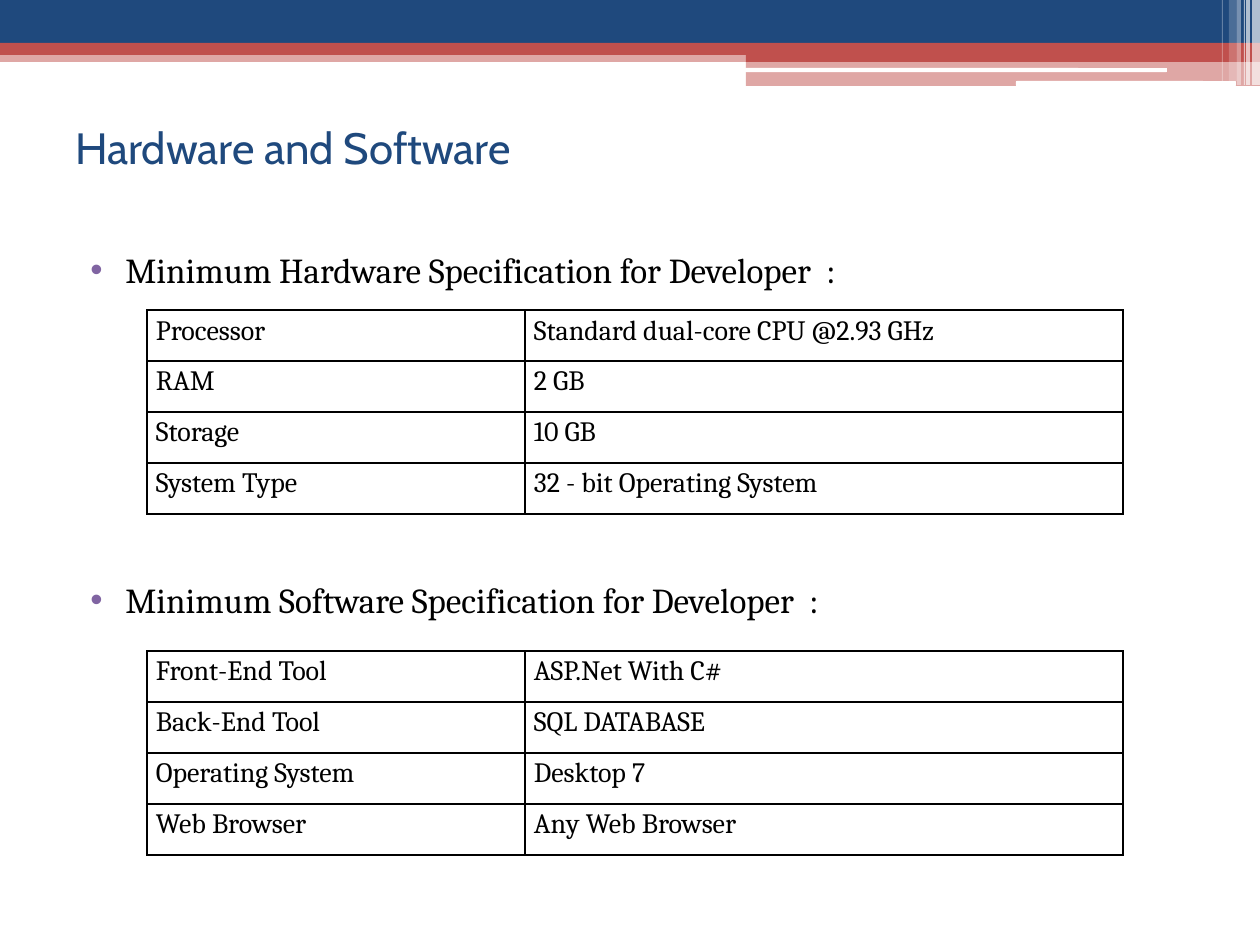
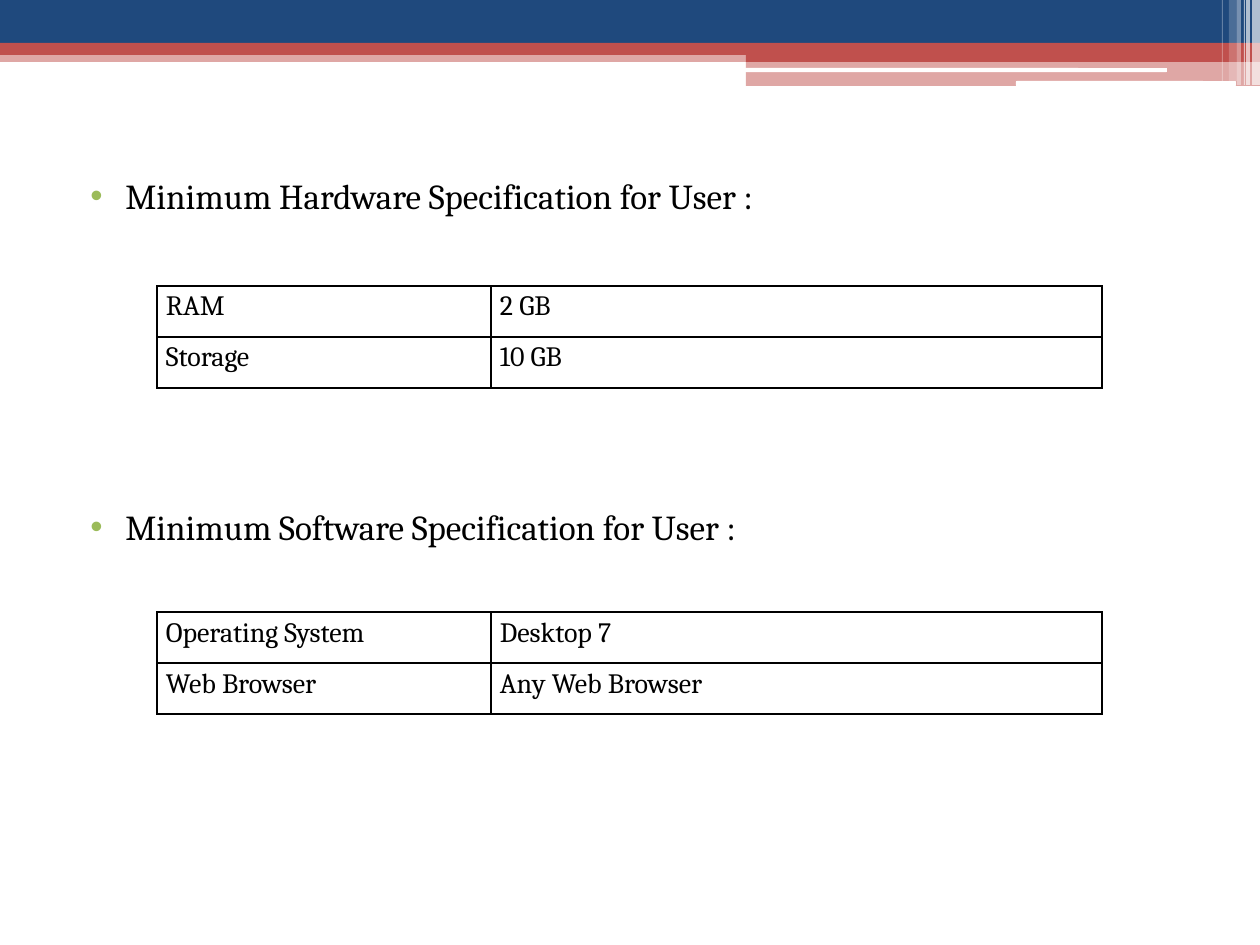
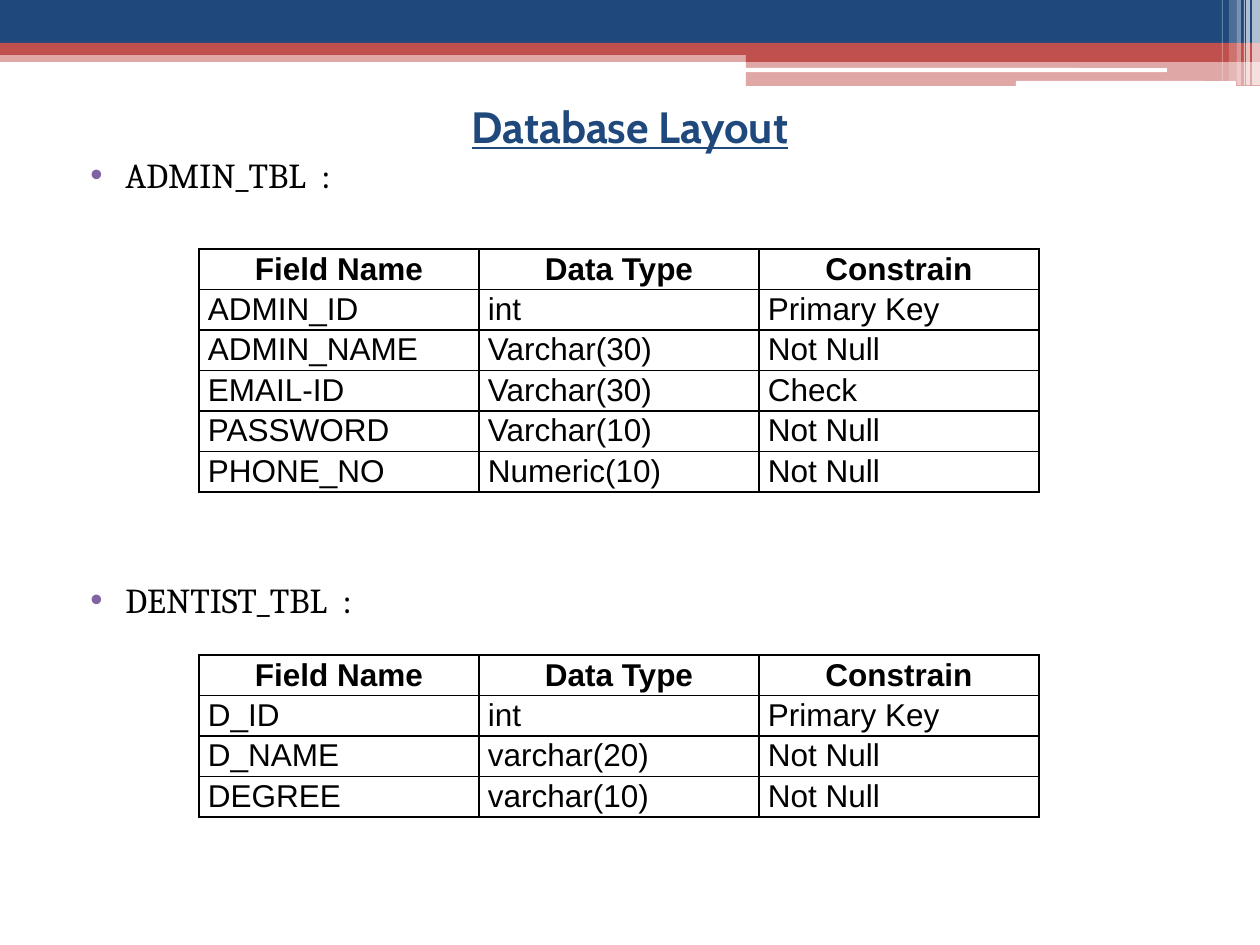
"""Build three slides of system requirements and database tables."""
import pptx
import pptx.dml.color
import pptx.enum.shapes
import pptx.enum.text
import pptx.oxml.ns
import pptx.util
from lxml import etree

PX = 914400 / 126
NAVY, RED, WHITE, BLACK = "1F497D", "C0504D", "FFFFFF", "000000"
PURPLE, GREEN = "8064A2", "9BBB59"
HEADING_FONT, BODY_FONT, DATA_FONT = "Cabin", "Cambria", "Arial"
LEFT, WIDTH, BOTTOM = 63, 1134, 906
BODY_PITCH, BODY_SPACE = 27, 3

ALIGN = pptx.enum.text.PP_ALIGN
ANCHOR = pptx.enum.text.MSO_ANCHOR
SHAPE = pptx.enum.shapes.MSO_SHAPE
RECT, ROUND = SHAPE.RECTANGLE, SHAPE.ROUNDED_RECTANGLE

BANDS = [
    (RECT, 0, 50, 1260, 12, RED, 50),
    (RECT, 0, 0, 1260, 43, NAVY, 100),
    (RECT, 0, 43, 1260, 12, RED, 100),
    (RECT, 746, 49, 514, 13, RED, 100),
    (RECT, 746, 62, 514, 24, RED, 50),
    (ROUND, 745, 68, 422, 4, WHITE, 100),
    (ROUND, 1016, 81, 220, 5, WHITE, 100),
    (RECT, 1252, 0, 8, 85, WHITE, 65),
    (RECT, 1246, 0, 4, 85, WHITE, 65),
    (RECT, 1244, 0, 1, 85, WHITE, 60),
    (RECT, 1237, 0, 4, 85, WHITE, 40),
    (RECT, 1229, 0, 8, 81, WHITE, 20),
    (RECT, 1222, 0, 1, 81, WHITE, 30),
]

SPEC_STYLE = {"font": BODY_FONT, "size": 16, "row": 51, "spacing": 1.15, "header": False}
FIELD_STYLE = {"font": DATA_FONT, "size": 18, "row": 40, "spacing": 1.07, "header": True}
FIELD_HEADER = ("Field Name", "Data Type", "Constrain")

SLIDES = [
    {
        "title": {"text": "Hardware and Software", "top": 73, "height": 147, "centred": False},
        "body_top": 242, "bullet": PURPLE, "lines_between": 6,
        "headings": ["Minimum Hardware Specification for Developer  :",
                     "Minimum Software Specification for Developer  :"],
        "style": SPEC_STYLE, "align": ALIGN.JUSTIFY,
        "left": 147, "columns": (378, 598),
        "tables": [
            (310, [("Processor", "Standard dual-core CPU @2.93 GHz"),
                   ("RAM", "2 GB"),
                   ("Storage", "10 GB"),
                   ("System Type", "32 - bit Operating System")]),
            (651, [("Front-End Tool", "ASP.Net With C#"),
                   ("Back-End Tool", "SQL DATABASE"),
                   ("Operating System", "Desktop 7"),
                   ("Web Browser", "Any Web Browser")]),
        ],
    },
    {
        "title": None,
        "body_top": 168, "bullet": GREEN, "lines_between": 6,
        "headings": ["Minimum Hardware Specification for User :",
                     "Minimum Software Specification for User :"],
        "style": SPEC_STYLE, "align": ALIGN.LEFT,
        "left": 157, "columns": (334, 611),
        "tables": [
            (286, [("RAM", "2 GB"), ("Storage", "10 GB")]),
            (612, [("Operating System", "Desktop 7"), ("Web Browser", "Any Web Browser")]),
        ],
    },
    {
        "title": {"text": "Database Layout", "top": 63, "height": 126, "centred": True},
        "body_top": 147, "bullet": PURPLE, "lines_between": 8,
        "headings": ["ADMIN_TBL  :", "DENTIST_TBL  :"],
        "style": FIELD_STYLE, "align": ALIGN.JUSTIFY,
        "left": 199, "columns": (280, 280, 280),
        "tables": [
            (249, [FIELD_HEADER,
                   ("ADMIN_ID", "int", "Primary Key"),
                   ("ADMIN_NAME", "Varchar(30)", "Not Null"),
                   ("EMAIL-ID", "Varchar(30)", "Check"),
                   ("PASSWORD", "Varchar(10)", "Not Null"),
                   ("PHONE_NO", "Numeric(10)", "Not Null")]),
            (655, [FIELD_HEADER,
                   ("D_ID", "int", "Primary Key"),
                   ("D_NAME", "varchar(20)", "Not Null"),
                   ("DEGREE", "varchar(10)", "Not Null")]),
        ],
    },
]


def px(*lengths):
    return [pptx.util.Emu(round(n * PX)) for n in lengths]


def rgb(value):
    return pptx.dml.color.RGBColor.from_string(value)


def add_xml(parent, tag, **attributes):
    return etree.SubElement(parent, pptx.oxml.ns.qn(tag), attributes)


def format_runs(p, font, size, color, bold=False, underline=False):
    for r in p.runs:
        r.font.name = font
        r.font.size = pptx.util.Pt(size)
        r.font.color.rgb = rgb(color)
        r.font.bold = bold
        r.font.underline = underline


def add_band(s, kind, left, top, width, height, color, opacity):
    sp = s.shapes.add_shape(kind, *px(left, top, width, height))
    sp.shadow.inherit = False
    sp.fill.solid()
    sp.fill.fore_color.rgb = rgb(color)
    sp.line.fill.background()
    if opacity < 100:
        fill = sp.fill._xPr.find(pptx.oxml.ns.qn("a:solidFill"))
        add_xml(fill[0], "a:alpha", val=str(opacity * 1000))


def add_text_box(s, top, height):
    tf = s.shapes.add_textbox(*px(LEFT, top, WIDTH, height)).text_frame
    tf.word_wrap = True
    return tf


def add_title(s, text, top, height, centred):
    tf = add_text_box(s, top, height)
    tf.vertical_anchor = ANCHOR.MIDDLE
    p = tf.paragraphs[0]
    p.text = text
    p.alignment = ALIGN.CENTER if centred else ALIGN.LEFT
    format_runs(p, HEADING_FONT, 25, NAVY, bold=centred, underline=centred)


def add_headings(s, top, headings, bullet, lines_between):
    tf = add_text_box(s, top, BOTTOM - top)
    indent, hanging = px(50, -35)
    for i, heading in enumerate(headings):
        p = tf.paragraphs[0] if i == 0 else tf.add_paragraph()
        p.text = heading
        if i:
            p.space_before = pptx.util.Pt(lines_between * BODY_PITCH + BODY_SPACE)
        pPr = p._p.get_or_add_pPr()
        pPr.set("marL", str(indent))
        pPr.set("indent", str(hanging))
        add_xml(add_xml(pPr, "a:buClr"), "a:srgbClr", val=bullet)
        add_xml(pPr, "a:buFont", typeface=DATA_FONT)
        add_xml(pPr, "a:buChar", char="•")
        format_runs(p, BODY_FONT, 20, BLACK)


def add_borders(cell):
    tcPr = cell._tc.get_or_add_tcPr()
    for i, side in enumerate(("a:lnL", "a:lnR", "a:lnT", "a:lnB")):
        ln = etree.Element(pptx.oxml.ns.qn(side), w=str(pptx.util.Pt(1)))
        add_xml(add_xml(ln, "a:solidFill"), "a:srgbClr", val=BLACK)
        tcPr.insert(i, ln)


def add_grid(s, left, top, columns, rows, style, align):
    frame = s.shapes.add_table(len(rows), len(columns),
                               *px(left, top, sum(columns), style["row"] * len(rows)))
    table = frame.table
    table.first_row = style["header"]
    table.horz_banding = False
    for column, width in zip(table.columns, px(*columns)):
        column.width = width
    for i, row in enumerate(rows):
        header = style["header"] and i == 0
        for j, text in enumerate(row):
            cell = table.cell(i, j)
            cell.margin_left, cell.margin_right, cell.margin_top, cell.margin_bottom = px(9, 9, 0, 0)
            cell.fill.background()
            add_borders(cell)
            p = cell.text_frame.paragraphs[0]
            p.text = text
            p.alignment = ALIGN.CENTER if header else align
            p.line_spacing = style["spacing"]
            format_runs(p, style["font"], style["size"], BLACK, bold=header)


def main():
    prs = pptx.Presentation()
    prs.slide_width, prs.slide_height = px(1260, 945)
    for content in SLIDES:
        s = prs.slides.add_slide(prs.slide_layouts[6])
        for band in BANDS:
            add_band(s, *band)
        if content["title"]:
            add_title(s, **content["title"])
        add_headings(s, content["body_top"], content["headings"],
                     content["bullet"], content["lines_between"])
        for top, rows in content["tables"]:
            add_grid(s, content["left"], top, content["columns"], rows,
                     content["style"], content["align"])
    prs.save("out.pptx")


if __name__ == "__main__":
    main()
